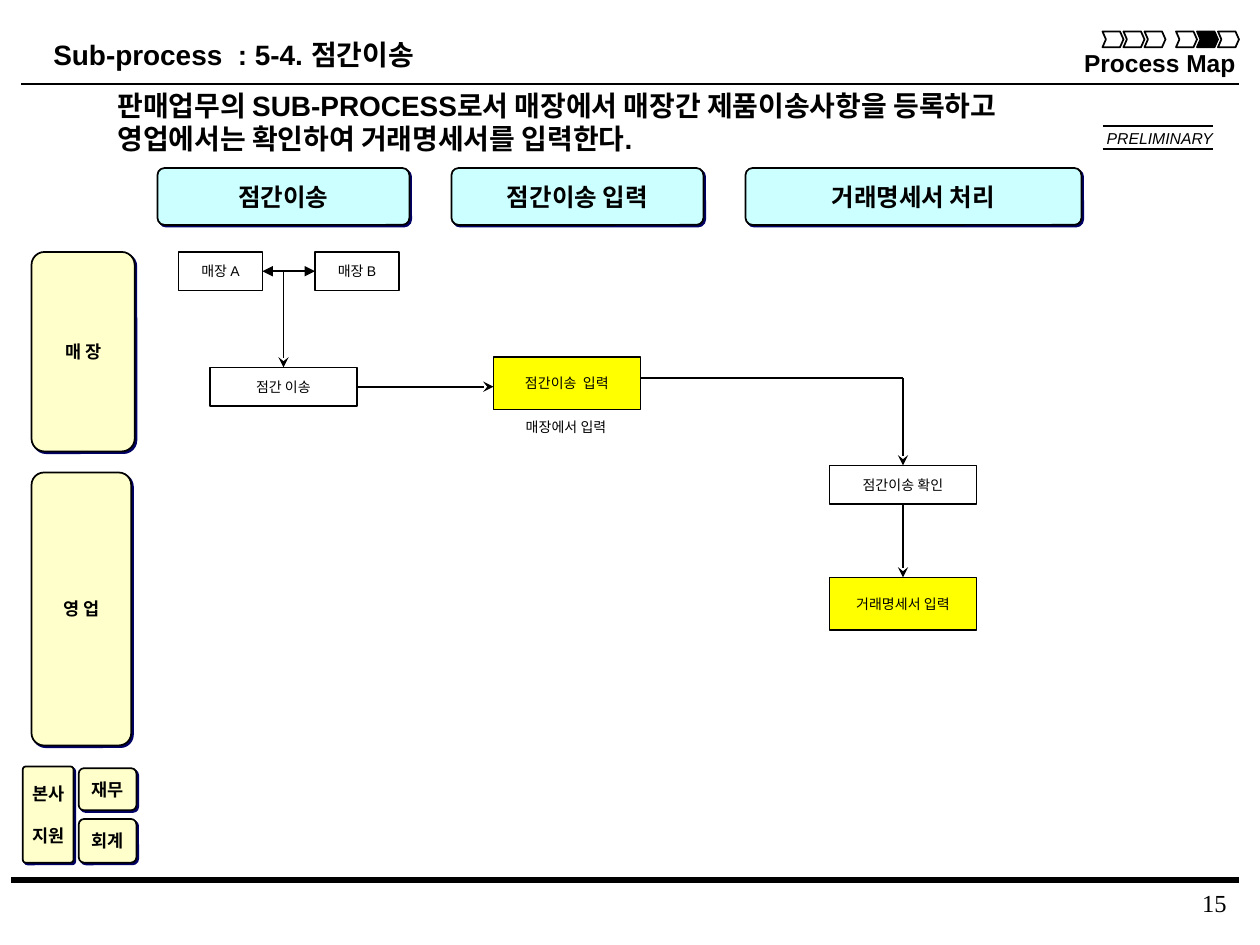
from dataclasses import dataclass
from lxml import etree
from pptx import Presentation
from pptx.dml.color import RGBColor as RGB
from pptx.enum.shapes import MSO_CONNECTOR as CONN, MSO_SHAPE as SHAPE
from pptx.enum.text import MSO_ANCHOR as ANCHOR, PP_ALIGN as ALIGN
from pptx.oxml.ns import qn
from pptx.util import Pt


@dataclass(frozen=True)
class Theme:
    black: RGB = RGB(0, 0, 0)
    white: RGB = RGB(255, 255, 255)
    cream: RGB = RGB(255, 255, 204)
    aqua: RGB = RGB(204, 255, 255)
    yellow: RGB = RGB(255, 255, 0)
    shadow: str = "000066"
    sans: str = "Arial"
    korean: str = "Noto Sans CJK KR"
    serif: str = "Times New Roman"
    title: float = 16
    header: float = 14
    lane: float = 10
    note: float = 9
    step: float = 8


T = Theme()
prs = Presentation()
prs.slide_width, prs.slide_height = Pt(720), Pt(540)
s = prs.slides.add_slide(prs.slide_layouts[6])


def write(sp, lines, size, font=T.sans, bold=False, italic=False, align=ALIGN.CENTER,
          anchor=ANCHOR.MIDDLE, wrap=False, inset=(7.2, 3.6), gap=0):
    tf = sp.text_frame
    tf.word_wrap, tf.vertical_anchor = wrap, anchor
    tf.margin_left = tf.margin_right = Pt(inset[0])
    tf.margin_top = tf.margin_bottom = Pt(inset[1])
    for i, line in enumerate(lines):
        p = tf.add_paragraph() if i else tf.paragraphs[0]
        p.alignment = align
        if i and gap:
            p.space_before = Pt(gap)
        r = p.add_run()
        r.text = line
        r.font.name, r.font.size = font, Pt(size)
        r.font.bold, r.font.italic = bold, italic
        r.font.color.rgb = T.black


def connect(x1, y1, x2, y2, width=1, head=None, tail=None):
    cx = s.shapes.add_connector(CONN.STRAIGHT, Pt(x1), Pt(y1), Pt(x2), Pt(y2))
    cx.line.color.rgb, cx.line.width = T.black, Pt(width)
    ln = cx.line._get_or_add_ln()
    for tag, kind in (("a:headEnd", head), ("a:tailEnd", tail)):
        if kind:
            etree.SubElement(ln, qn(tag), type=kind)
    etree.SubElement(cx._element.spPr, qn("a:effectLst"))
    return cx


# Rules across the page, and the pair around the status mark
for x1, x2, y, width in ((12, 708, 503, 3.75), (12, 708, 48, 1), (6.5, 703, 503, 3.75),
                         (630, 693, 72, 1), (630, 693, 85, 1)):
    connect(x1, y, x2, y, width)

# Free text
top = dict(anchor=ANCHOR.TOP)
for x, y, w, h, lines, size, style in (
    (21, 18, 225, 27, ["Sub-process  : 5-4. 점간이송"], T.title, dict(bold=True, **top)),
    (60, 47, 660, 45, ["판매업무의 SUB-PROCESS로서 매장에서 매장간 제품이송사항을 등록하고",
                       "영업에서는 확인하여 거래명세서를 입력한다."], T.title,
     dict(bold=True, align=ALIGN.LEFT, wrap=True, **top)),
    (612, 24, 101.5, 24, ["Process Map"], T.header, dict(bold=True, **top)),
    (630, 73, 63, 12, ["PRELIMINARY"], T.note,
     dict(italic=True, align=ALIGN.RIGHT, wrap=True, inset=(0, 0))),
    (292, 235.5, 63, 16.5, ["매장에서 입력"], T.step, top),
    (576, 504, 132, 18, ["15"], T.header,
     dict(font=T.serif, align=ALIGN.RIGHT, wrap=True, **top)),
):
    write(s.shapes.add_textbox(Pt(x), Pt(y), Pt(w), Pt(h)), lines, size, **style)

# Progress chevrons: two groups of three, the fifth one current
for i in range(6):
    sp = s.shapes.add_shape(SHAPE.CHEVRON, Pt(630 + 12 * i + 6 * (i // 3)), Pt(18), Pt(12), Pt(9))
    sp.adjustments[0] = 0.22
    if i == 4:
        sp.fill.solid()
        sp.fill.fore_color.rgb = T.black
    else:
        sp.fill.background()
    sp.line.color.rgb, sp.line.width = T.black, Pt(1)
    sp.shadow.inherit = False

# Column headers and lane labels, rounded with a hard shadow
for x, y, w, h, lines, fill, size, radius in (
    (90, 96, 144, 32.5, ["점간이송"], T.aqua, T.header, 0.125),
    (258, 96, 144, 32.5, ["점간이송 입력"], T.aqua, T.header, 0.125),
    (426, 96, 192, 32.5, ["거래명세서 처리"], T.aqua, T.header, 0.125),
    (18, 144, 59, 114, ["매 장"], T.cream, T.lane, 0.125),
    (18, 270, 57, 156, ["영 업"], T.cream, T.lane, 0.125),
    (13, 438, 29, 55, ["본사", "지원"], T.cream, T.lane, 0.06),
    (45, 439, 33, 24, ["재무"], T.cream, T.lane, 0.125),
    (45, 468, 33, 25, ["회계"], T.cream, T.lane, 0.125),
):
    sp = s.shapes.add_shape(SHAPE.ROUNDED_RECTANGLE, Pt(x), Pt(y), Pt(w), Pt(h))
    sp.adjustments[0] = radius
    sp.fill.solid()
    sp.fill.fore_color.rgb = fill
    sp.line.color.rgb, sp.line.width = T.black, Pt(1)
    sp.shadow.inherit = False
    effects = sp._element.spPr.find(qn("a:effectLst"))
    shadow = etree.SubElement(effects, qn("a:outerShdw"), dist=str(Pt(1.4)), dir="2700000",
                              algn="ctr", rotWithShape="0")
    etree.SubElement(shadow, qn("a:srgbClr"), val=T.shadow)
    write(sp, lines, size, T.korean, bold=True, gap=12)

# Process steps
steps = {}
for name, x, y, w, h, fill in (
    ("매장 A", 102, 144, 48, 22, T.white),
    ("매장 B", 180, 144, 48, 22, T.white),
    ("점간 이송", 120, 210, 84, 22, T.white),
    ("점간이송  입력", 282, 204, 84, 30, T.yellow),
    ("점간이송 확인", 474, 266, 84, 22, T.white),
    ("거래명세서 입력", 474, 330, 84, 30, T.yellow),
):
    sp = steps[name] = s.shapes.add_shape(SHAPE.RECTANGLE, Pt(x), Pt(y), Pt(w), Pt(h))
    sp.fill.solid()
    sp.fill.fore_color.rgb = fill
    sp.line.color.rgb, sp.line.width = T.black, Pt(1)
    sp.shadow.inherit = False
    write(sp, [name], T.step, wrap=True, inset=(1.5, 3))
store_a, store_b, transfer, entry, check, invoice = steps.values()

# Flow lines, joined where they meet the middle of a side
for ends, head, tail, begin, end in (
    ((150, 155, 180, 155), "triangle", "triangle", (store_a, 3), (store_b, 1)),
    ((162, 155, 162, 210), None, "stealth", None, (transfer, 0)),
    ((204, 221, 282, 221), None, "stealth", (transfer, 3), None),
    ((516, 216, 366, 216), None, None, None, None),
    ((516, 216, 516, 266), None, "stealth", None, (check, 0)),
    ((516, 288, 516, 330), None, "stealth", (check, 2), (invoice, 0)),
):
    cx = connect(*ends, head=head, tail=tail)
    if begin:
        cx.begin_connect(*begin)
    if end:
        cx.end_connect(*end)

prs.save("out.pptx")
